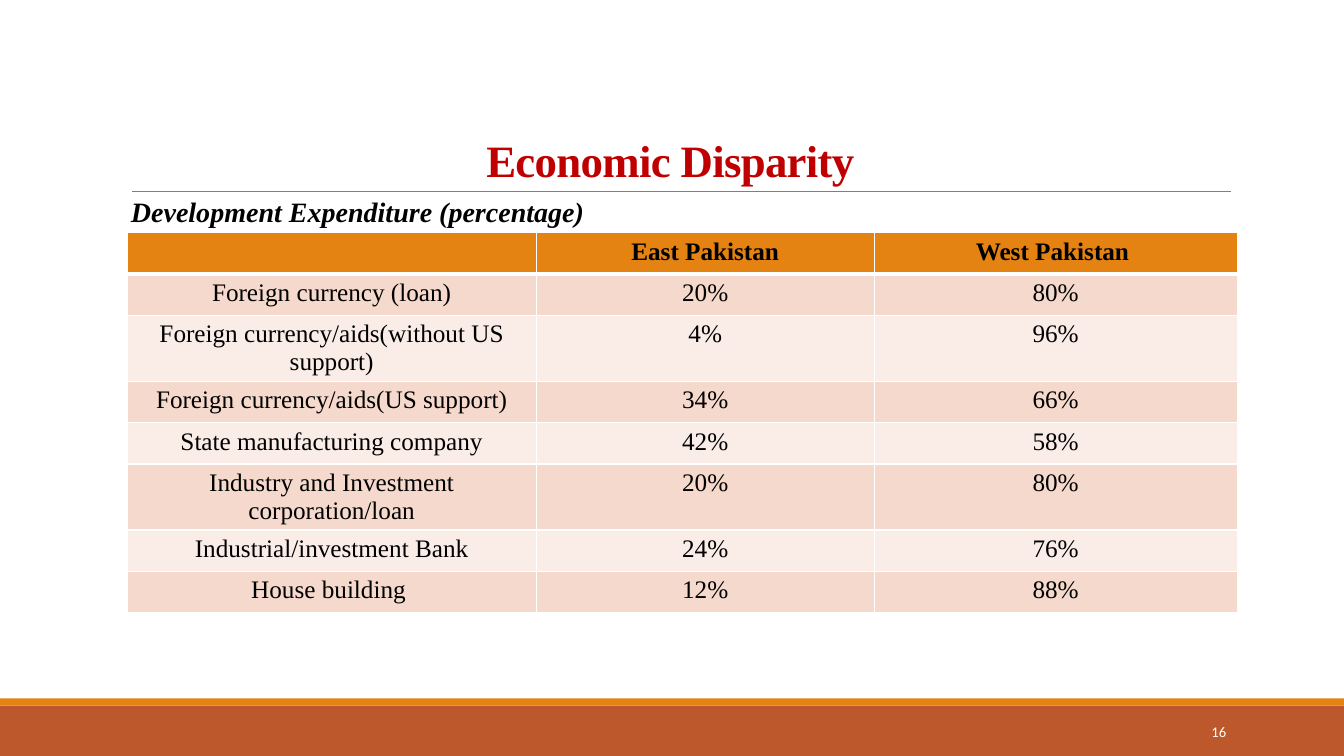
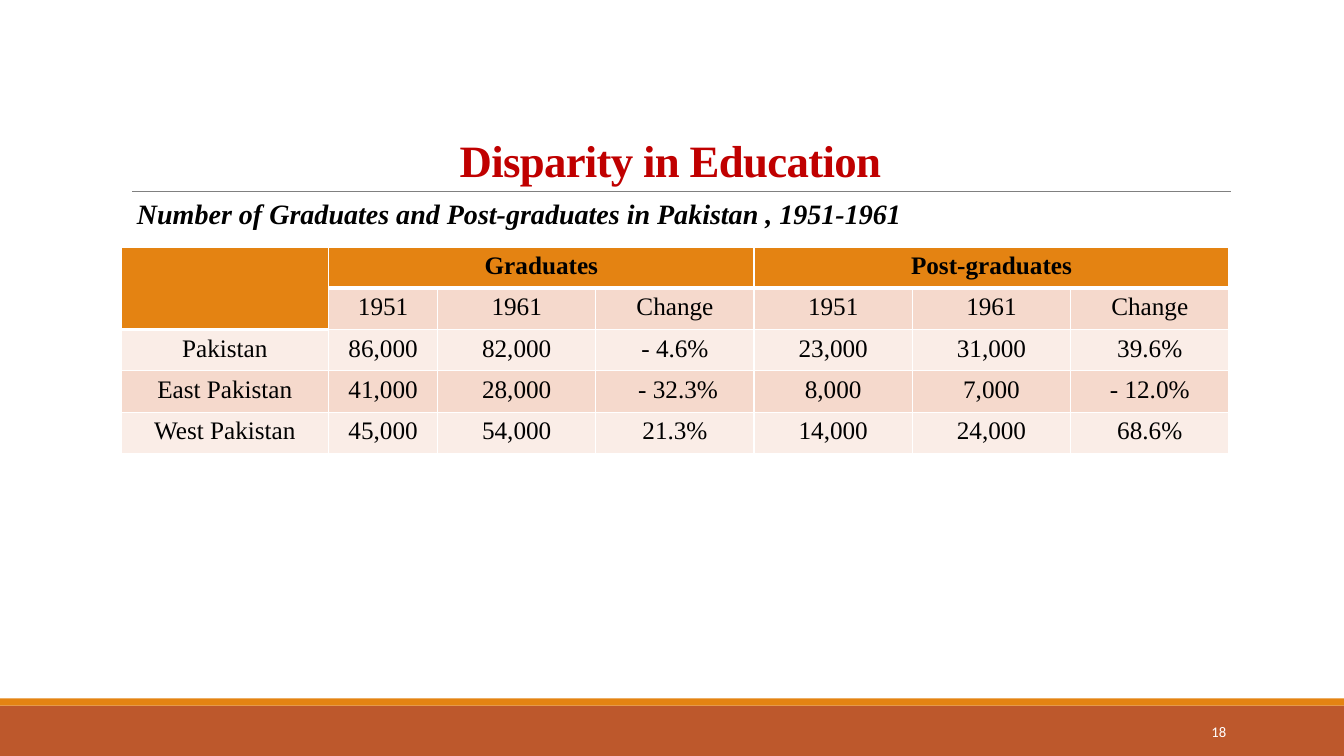
from lxml import etree
from pptx import Presentation
from pptx.dml.color import RGBColor
from pptx.enum import shapes, text
from pptx.oxml import ns
from pptx.util import Inches, Pt

COLORS = {
    "band": "BD582C", "accent": "E48312", "rule": "808080", "title": "C00000",
    "ink": "000000", "white": "FFFFFF", "odd_row": "F5D9CC", "even_row": "FAEDE7",
}
SERIF = "Times New Roman"
ROW_HEIGHT = 0.41

SLIDES = [
    {
        "number": "16",
        "title": "Economic Disparity ",
        "subtitle": "Development Expenditure (percentage)",
        "subtitle_at": (1.2, 1.88, 8.75, 0.44),
        "table_at": (1.26, 2.31),
        "columns": [4.06, 3.35, 3.6],
        "merges": [],
        "rows": [
            ["", "East Pakistan", "West Pakistan "],
            ["Foreign currency (loan)", "20%", "80%"],
            ["Foreign currency/aids(without US support)", "4%", "96%"],
            ["Foreign currency/aids(US support)", "34%", "66%"],
            ["State manufacturing company", "42%", "58%"],
            ["Industry and Investment corporation/loan", "20%", "80%"],
            ["Industrial/investment Bank", "24%", "76%"],
            ["House building ", "12%", "88%"],
        ],
    },
    {
        "number": "18",
        "title": "Disparity in Education ",
        "subtitle": "Number of Graduates and Post-graduates in Pakistan , 1951-1961",
        "subtitle_at": (1.26, 1.9, 9.27, 0.44),
        "table_at": (1.2, 2.45),
        "columns": [2.06, 1.08] + [1.57] * 5,
        "merges": [((0, 0), (1, 0)), ((0, 1), (0, 3)), ((0, 4), (0, 6))],
        "rows": [
            ["", "Graduates", "", "", "Post-graduates", "", ""],
            ["", "1951", "1961", "Change", "1951", "1961", "Change"],
            ["Pakistan", "86,000", "82,000", "- 4.6%", "23,000", "31,000", "39.6%"],
            ["East Pakistan", "41,000", "28,000", " - 32.3%", "8,000", "7,000", "- 12.0%"],
            ["West Pakistan", "45,000", "54,000", "21.3%", "14,000", "24,000", "68.6%"],
        ],
    },
]


def write(frame, words, size=18, font=SERIF, color="ink", bold=False, italic=False,
          align="CENTER", spacing=None, tracking=None):
    para = frame.paragraphs[0]
    para.alignment = getattr(text.PP_ALIGN, align)
    para.line_spacing = spacing
    span = para.add_run()
    span.text = words
    span.font.size, span.font.name = Pt(size), font
    span.font.bold, span.font.italic = bold, italic
    span.font.color.rgb = RGBColor.from_string(COLORS[color])
    if tracking:
        span._r.get_or_add_rPr().set("spc", str(round(tracking * 100)))


def add_borders(cell, bottom):
    properties = cell._tc.get_or_add_tcPr()
    for side, width in (("L", 1), ("R", 1), ("T", 1), ("B", bottom)):
        line = etree.SubElement(properties, ns.qn(f"a:ln{side}"), w=str(Pt(width)))
        fill = etree.SubElement(line, ns.qn("a:solidFill"))
        etree.SubElement(fill, ns.qn("a:srgbClr"), val=COLORS["white"])


deck = Presentation()
deck.slide_width, deck.slide_height = Inches(13.33), Inches(7.5)

# Shared layout: title place, no footer placeholders
layout = deck.slide_layouts.get_by_name("Title Only")
layout_title, *footers = layout.placeholders
for footer in footers:
    footer.element.getparent().remove(footer.element)
layout_title.left, layout_title.top = Inches(1.2), Inches(1)
layout_title.width, layout_title.height = Inches(11), Inches(0.9)

pages = [deck.slides.add_slide(layout) for _ in SLIDES]

# Shared bands and title rule, drawn once and moved to the layout
decor = []
for top, height, color in ((7, 0.5, "band"), (6.93, 0.07, "accent")):
    band = pages[0].shapes.add_shape(shapes.MSO_SHAPE.RECTANGLE, 0, Inches(top),
                                     deck.slide_width, Inches(height))
    band.shadow.inherit = False
    band.fill.solid()
    band.fill.fore_color.rgb = RGBColor.from_string(COLORS[color])
    band.line.fill.background()
    decor.append(band)
rule = pages[0].shapes.add_connector(shapes.MSO_CONNECTOR.STRAIGHT, Inches(1.31),
                                     Inches(1.9), Inches(12.21), Inches(1.9))
rule.line.color.rgb = RGBColor.from_string(COLORS["rule"])
rule.line.width = Pt(0.5)
etree.SubElement(rule.element.spPr, ns.qn("a:effectLst"))
decor.append(rule)
for item in decor:
    layout.shapes.element.append(item.element)

for page, content in zip(pages, SLIDES):
    # Title
    title = page.shapes.title.text_frame
    title.auto_size = text.MSO_AUTO_SIZE.NONE
    title.vertical_anchor = text.MSO_ANCHOR.BOTTOM
    write(title, content["title"], size=32, color="title", bold=True,
          spacing=0.85, tracking=-0.5)

    # Table
    rows, columns = content["rows"], content["columns"]
    left, top = content["table_at"]
    table = page.shapes.add_table(
        len(rows), len(columns), Inches(left), Inches(top),
        Inches(sum(columns)), Inches(ROW_HEIGHT * len(rows))).table
    for column, width in zip(table.columns, columns):
        column.width = Inches(width)
    for first, last in content["merges"]:
        table.cell(*first).merge(table.cell(*last))
    for r, row in enumerate(rows):
        table.rows[r].height = Inches(ROW_HEIGHT)
        for c, words in enumerate(row):
            cell = table.cell(r, c)
            header = r == 0 or cell.is_spanned
            add_borders(cell, bottom=3 if header else 1)
            cell.fill.solid()
            shade = "accent" if header else "odd_row" if r % 2 else "even_row"
            cell.fill.fore_color.rgb = RGBColor.from_string(COLORS[shade])
            if words:
                write(cell.text_frame, words, bold=header)

    # Page number
    number = page.shapes.add_textbox(Inches(10.83), Inches(7.06), Inches(1.43), Inches(0.4))
    number.text_frame.word_wrap = True
    number.text_frame.vertical_anchor = text.MSO_ANCHOR.MIDDLE
    write(number.text_frame, content["number"], size=10.5, font="Calibri",
          color="white", align="RIGHT")

    # Subtitle
    subtitle = page.shapes.add_textbox(*map(Inches, content["subtitle_at"]))
    subtitle.text_frame.word_wrap = True
    subtitle.text_frame.auto_size = text.MSO_AUTO_SIZE.SHAPE_TO_FIT_TEXT
    write(subtitle.text_frame, content["subtitle"], size=20, bold=True, italic=True,
          align="LEFT")

deck.save("out.pptx")
